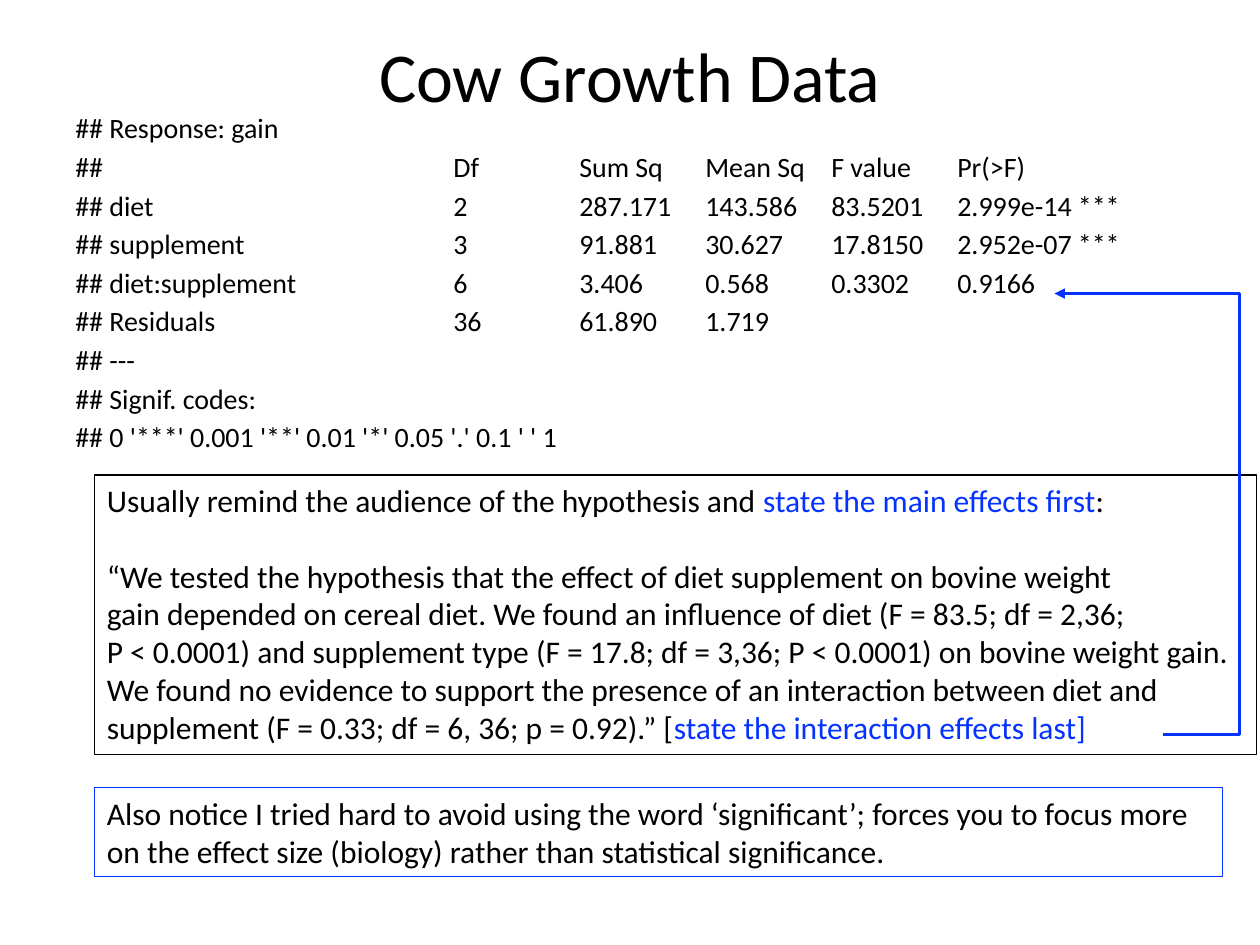
"""Build the Cow Growth Data slide with its ANOVA output and write-up advice."""
from dataclasses import dataclass
from typing import Sequence

from lxml import etree
from pptx import Presentation
from pptx.dml.color import RGBColor
from pptx.enum.shapes import MSO_CONNECTOR
from pptx.enum.text import MSO_ANCHOR, MSO_AUTO_SIZE, PP_ALIGN
from pptx.oxml.ns import qn
from pptx.util import Pt

ELBOW = MSO_CONNECTOR.ELBOW
MIDDLE = MSO_ANCHOR.MIDDLE
CENTER = PP_ALIGN.CENTER
FIT_SHAPE = MSO_AUTO_SIZE.SHAPE_TO_FIT_TEXT

BLACK = RGBColor(0x00, 0x00, 0x00)
BLUE = RGBColor(0x04, 0x32, 0xFF)
FONT = "Calibri"
TITLE_ONLY = 5
COLUMN_STOPS = [72 * inch for inch in range(3, 8)]


@dataclass(frozen=True)
class Run:
    text: str
    color: RGBColor = BLACK


@dataclass(frozen=True)
class Line:
    runs: Sequence[Run]
    space_before: float = 0


@dataclass(frozen=True)
class TextBlock:
    left: float
    top: float
    width: float
    height: float
    size: float
    lines: Sequence[Line]
    border: RGBColor | None = None
    tab_stops: Sequence[float] = ()


ANOVA_ROWS = [
    ["## Response: gain"],
    ["## ", "Df ", "Sum Sq ", "Mean Sq ", "F value", "Pr(>F)"],
    ["## diet ", "2 ", "287.171", "143.586 ", "83.5201 ", "2.999e-14 ***"],
    ["## supplement ", "3 ", "91.881", "30.627 ", "17.8150 ", "2.952e-07 ***"],
    ["## diet:supplement ", "6 ", "3.406", "0.568 ", "0.3302 ", "0.9166"],
    ["## Residuals ", "36 ", "61.890", "1.719"],
    ["## ---"],
    ["## Signif. codes:"],
    ["## 0 '***' 0.001 '**' 0.01 '*' 0.05 '.' 0.1 ' ' 1"],
]
ANOVA = TextBlock(
    36, 59.8, 678, 206, 16,
    [Line([Run("\t".join(row))], 2.85) for row in ANOVA_ROWS],
    tab_stops=COLUMN_STOPS,
)
WRITE_UP = TextBlock(
    54, 271.4, 664, 160, 18,
    [
        Line([
            Run("Usually remind the audience of the hypothesis and "),
            Run("state the main effects first", BLUE),
            Run(":"),
        ]),
        Line([Run("“We tested the hypothesis that the effect of diet supplement on bovine weight")], 21.6),
        Line([Run("gain depended on cereal diet. We found an influence of diet (F = 83.5; df = 2,36;")]),
        Line([Run("P < 0.0001) and supplement type (F = 17.8; df = 3,36; P < 0.0001) on bovine weight gain.")]),
        Line([Run("We found no evidence to support the presence of an interaction between diet and")]),
        Line([
            Run("supplement (F = 0.33; df = 6, 36; p = 0.92).” ["),
            Run("state the interaction effects last]", BLUE),
        ]),
    ],
    border=BLACK,
)
WORDING_NOTE = TextBlock(
    54, 450, 644.4, 51, 18,
    [
        Line([Run("Also notice I tried hard to avoid using the word ‘significant’; forces you to focus more")]),
        Line([Run("on the effect size (biology) rather than statistical significance.")]),
    ],
    border=BLUE,
)


def set_title(slide, text: str) -> None:
    title = slide.shapes.title
    title.left, title.top, title.width, title.height = Pt(36), Pt(5.8), Pt(648), Pt(74)
    title.text_frame.vertical_anchor = MIDDLE
    paragraph = title.text_frame.paragraphs[0]
    paragraph.text = text
    paragraph.alignment = CENTER
    paragraph.font.name, paragraph.font.size = FONT, Pt(40)
    paragraph.font.color.rgb = BLACK


def set_tab_stops(paragraph, stops: Sequence[float]) -> None:
    tab_list = etree.Element(qn("a:tabLst"))
    for stop in stops:
        etree.SubElement(tab_list, qn("a:tab"), pos=str(Pt(stop)), algn="l")
    properties = paragraph._p.get_or_add_pPr()
    defaults = properties.find(qn("a:defRPr"))
    if defaults is None:
        properties.append(tab_list)
    else:
        defaults.addprevious(tab_list)


def add_text_block(slide, block: TextBlock) -> None:
    shape = slide.shapes.add_textbox(Pt(block.left), Pt(block.top), Pt(block.width), Pt(block.height))
    frame = shape.text_frame
    frame.word_wrap = block.border is None
    if block.border is not None:
        frame.auto_size = FIT_SHAPE
        shape.line.color.rgb = block.border
        shape.line.width = Pt(0.75)
    for index, line in enumerate(block.lines):
        paragraph = frame.add_paragraph() if index else frame.paragraphs[0]
        paragraph.space_before = Pt(line.space_before)
        paragraph.font.name, paragraph.font.size = FONT, Pt(block.size)
        if block.tab_stops:
            set_tab_stops(paragraph, block.tab_stops)
        for part in line.runs:
            run = paragraph.add_run()
            run.text = part.text
            run.font.color.rgb = part.color


def add_elbow_arrow(slide, start: tuple[float, float], end: tuple[float, float], turn_x: float) -> None:
    connector = slide.shapes.add_connector(ELBOW, *(Pt(length) for length in (*start, *end)))
    connector.line.color.rgb = BLUE
    connector.line.width = Pt(1.5)
    properties = connector._element.spPr
    bend = round((turn_x - start[0]) / (end[0] - start[0]) * 100000)
    guides = properties.find(qn("a:prstGeom")).find(qn("a:avLst"))
    etree.SubElement(guides, qn("a:gd"), name="adj1", fmla=f"val {bend}")
    etree.SubElement(properties.find(qn("a:ln")), qn("a:tailEnd"), type="triangle")
    etree.SubElement(properties, qn("a:effectLst"))


def main() -> None:
    presentation = Presentation()
    presentation.slide_width, presentation.slide_height = Pt(720), Pt(540)
    slide = presentation.slides.add_slide(presentation.slide_layouts[TITLE_ONLY])
    set_title(slide, "Cow Growth Data")
    for block in (ANOVA, WRITE_UP, WORDING_NOTE):
        add_text_block(slide, block)
    add_elbow_arrow(slide, (664.6, 419.8), (602.6, 167.8), 708.5)
    presentation.save("out.pptx")


if __name__ == "__main__":
    main()
